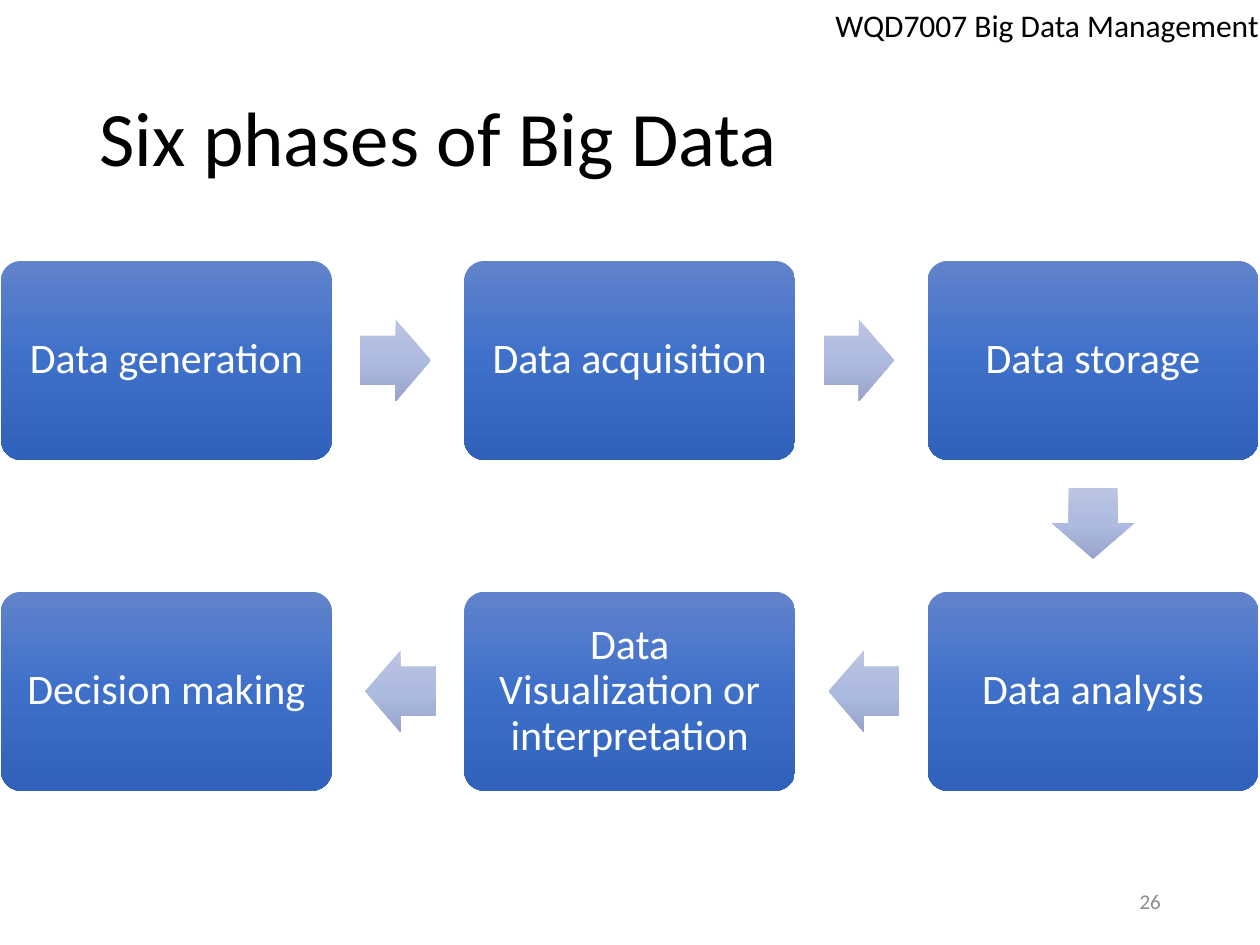
import math

import lxml.etree
import pptx
import pptx.dml.color
import pptx.enum.shapes
import pptx.enum.text
import pptx.oxml
import pptx.oxml.ns
import pptx.util

RGB = pptx.dml.color.RGBColor
Cm = pptx.util.Cm
Pt = pptx.util.Pt
SHAPE = pptx.enum.shapes.MSO_SHAPE
ALIGN = pptx.enum.text.PP_ALIGN
ANCHOR = pptx.enum.text.MSO_ANCHOR

BLACK = RGB(0x00, 0x00, 0x00)
WHITE = RGB(0xFF, 0xFF, 0xFF)
GREY = RGB(0x8C, 0x8C, 0x8C)
BLUES = [RGB(0x61, 0x83, 0xCB), RGB(0x3E, 0x70, 0xCA), RGB(0x30, 0x62, 0xBB)]
PALES = [RGB(0xBB, 0xC5, 0xE3), RGB(0xAE, 0xBB, 0xE0), RGB(0x98, 0xA4, 0xCB)]

# Lengths in centimetres
CARD_W, CARD_H = 6.67, 4.01
LEFT, TOP = 0.02, 5.26
STEP_X, STEP_Y = 9.34, 6.67
ARROW_W, ARROW_H = 1.42, 1.65
BACK = 0.05  # each arrow sits this far back from the midpoint
COLS = 3

PHASES = [
    "Data generation",
    "Data acquisition",
    "Data storage",
    "Data analysis",
    "Data Visualization or interpretation",
    "Decision making",
]


def write(frame, text, size=18, color=BLACK, font="Calibri", align=ALIGN.LEFT,
          anchor=ANCHOR.TOP, wrap=True, spacing=None):
    frame.word_wrap = wrap
    frame.vertical_anchor = anchor
    frame.text = text
    para = frame.paragraphs[0]
    para.alignment = align
    para.line_spacing = spacing
    para.font.name = font
    para.font.size = Pt(size)
    para.font.color.rgb = color


def shade(shape, colors):
    """Fill with an even gradient from top to bottom, whatever the rotation."""
    shape.fill.background()
    old = shape.element.spPr.find(pptx.oxml.ns.qn("a:noFill"))
    stops = "".join(
        f'<a:gs pos="{100000 * i // (len(colors) - 1)}"><a:srgbClr val="{c}"/></a:gs>'
        for i, c in enumerate(colors))
    grad = pptx.oxml.parse_xml(
        f'<a:gradFill {pptx.oxml.ns.nsdecls("a")} rotWithShape="0">'
        f'<a:gsLst>{stops}</a:gsLst><a:lin ang="5400000" scaled="0"/></a:gradFill>')
    old.getparent().replace(old, grad)


def centre(index):
    """Centre of a card; the second row runs from right to left."""
    row, col = divmod(index, COLS)
    if row % 2:
        col = COLS - 1 - col
    return (LEFT + CARD_W / 2 + col * STEP_X, TOP + CARD_H / 2 + row * STEP_Y)


class Deck:
    def __init__(self):
        self.prs = pptx.Presentation()
        self.prs.slide_width, self.prs.slide_height = Cm(25.4), Cm(19.05)
        self.slide = self.prs.slides.add_slide(self.prs.slide_layouts[5])

    def title(self, text, x, y, w, h):
        head = self.slide.shapes.title
        head.left, head.top, head.width, head.height = Cm(x), Cm(y), Cm(w), Cm(h)
        write(head.text_frame, text, size=44, anchor=ANCHOR.MIDDLE, spacing=0.9)

    def label(self, text, x, y, w, h, **style):
        box = self.slide.shapes.add_textbox(Cm(x), Cm(y), Cm(w), Cm(h))
        write(box.text_frame, text, **style)

    def shape(self, kind, mid, w, h, colors, adjust):
        x, y = mid
        item = self.slide.shapes.add_shape(
            kind, Cm(x - w / 2), Cm(y - h / 2), Cm(w), Cm(h))
        item.shadow.inherit = False
        item.line.fill.background()
        for i, value in enumerate(adjust):
            item.adjustments[i] = value
        shade(item, colors)
        return item

    def card(self, text, mid):
        item = self.shape(SHAPE.ROUNDED_RECTANGLE, mid, CARD_W, CARD_H, BLUES, [0.1])
        frame = item.text_frame
        frame.margin_left = frame.margin_right = Cm(0.37)
        frame.margin_top = frame.margin_bottom = Cm(0.37)
        write(frame, text, size=24, color=WHITE, align=ALIGN.CENTER,
              anchor=ANCHOR.MIDDLE, spacing=0.9)

    def arrow(self, start, end):
        angle = math.atan2(end[1] - start[1], end[0] - start[0])
        mid = ((start[0] + end[0]) / 2 - BACK * math.cos(angle),
               (start[1] + end[1]) / 2 - BACK * math.sin(angle))
        item = self.shape(SHAPE.RIGHT_ARROW, mid, ARROW_W, ARROW_H, PALES, [0.6, 0.5])
        item.rotation = round(math.degrees(angle))


def main():
    deck = Deck()
    deck.title("Six phases of Big Data", 1.75, 1.01, 21.9, 3.68)
    deck.label("26", 17.94, 17.66, 5.71, 1.01, size=12, color=GREY,
               align=ALIGN.RIGHT, anchor=ANCHOR.MIDDLE)
    deck.label("WQD7007 Big Data Management", 16.59, 0, 9.14, 1.03, wrap=False)
    for i, phase in enumerate(PHASES):
        deck.card(phase, centre(i))
        if i + 1 < len(PHASES):
            deck.arrow(centre(i), centre(i + 1))
    deck.prs.save("out.pptx")


if __name__ == "__main__":
    main()
